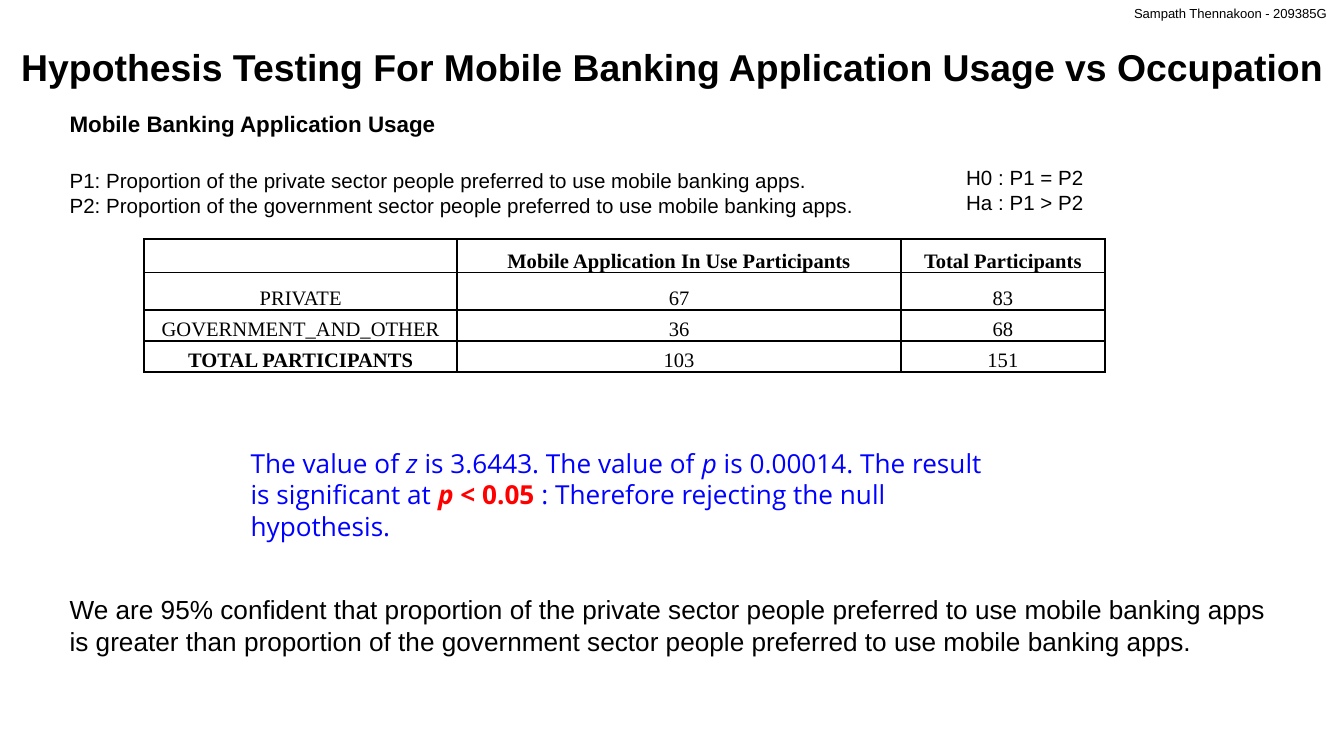
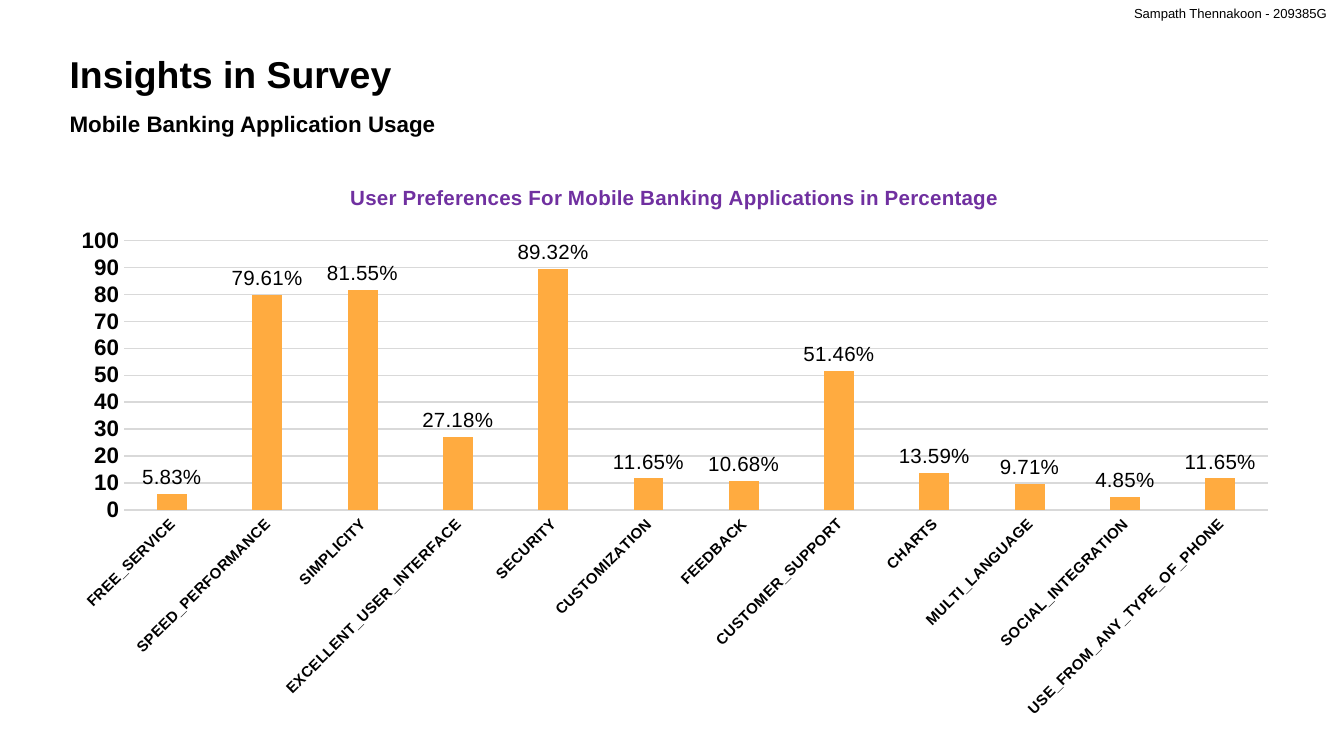
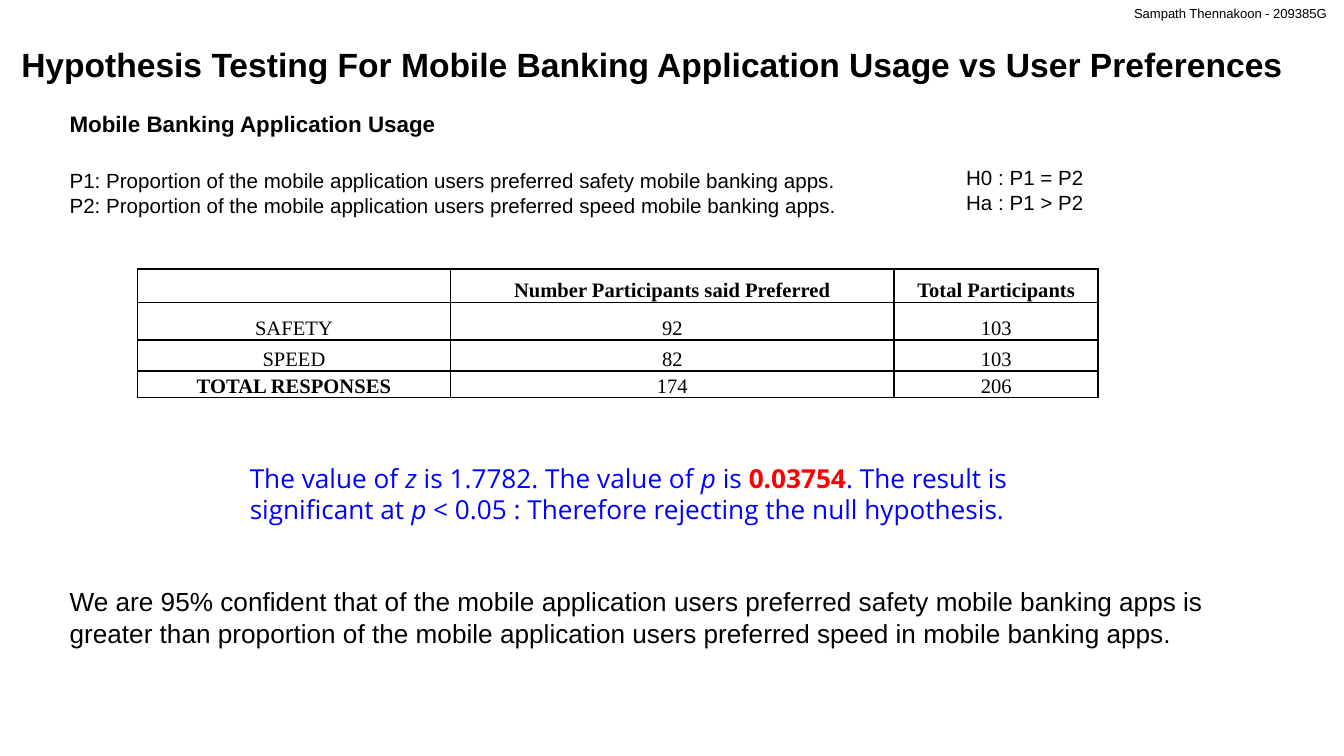
from lxml.etree import SubElement as Sub
from pptx import Presentation
from pptx.chart.data import CategoryChartData
from pptx.dml.color import RGBColor
from pptx.enum.chart import XL_CHART_TYPE as ChartType, XL_LABEL_POSITION as LabelPos, XL_TICK_MARK as Tick
from pptx.enum.text import MSO_ANCHOR as Anchor, MSO_AUTO_SIZE as AutoSize, PP_ALIGN as Align
from pptx.oxml import parse_xml
from pptx.oxml.ns import nsdecls, qn
from pptx.util import Pt

# Shared look
BLACK = RGBColor(0x00, 0x00, 0x00)
BLUE = RGBColor(0x00, 0x00, 0xFF)
RED = RGBColor(0xFF, 0x00, 0x00)
PURPLE = RGBColor(0x70, 0x30, 0xA0)
ORANGE = RGBColor(0xFF, 0xAB, 0x40)
GREY = RGBColor(0xD9, 0xD9, 0xD9)

LEFT = 30.2
BODY = dict(name="Arial", size=Pt(11), color=BLACK)
TITLE = dict(BODY, size=Pt(20), bold=True)
SUBTITLE = dict(BODY, size=Pt(12), bold=True)
CREDIT = dict(BODY, size=Pt(7))
CONCLUSION = dict(BODY, size=Pt(14))
RESULT = dict(name="Open Sans", size=Pt(14), color=BLUE)
CELL = dict(BODY, name="Times New Roman")
CELL_BOLD = dict(CELL, bold=True)
ITALIC = dict(italic=True)
ALERT = dict(color=RED, bold=True)

# Content
AUTHOR = "Sampath Thennakoon - 209385G"
SECTION = "Mobile Banking Application Usage"
HYPOTHESES = ["H0 : P1 = P2", "Ha : P1 > P2"]
COLUMN_WIDTHS = [167.8, 237.6, 109.4]

OCCUPATION = dict(
    title="Hypothesis Testing For Mobile Banking Application Usage vs Occupation",
    title_box=(4.3, 20.2, 720, 31.5), title_size=20,
    proportions=[
        "P1: Proportion of the private sector people preferred to use mobile banking apps.",
        "P2: Proportion of the government sector people preferred to use mobile banking apps."],
    rows=[("", "Mobile Application In Use Participants", "Total Participants"),
          ("PRIVATE", "67", "83"),
          ("GOVERNMENT_AND_OTHER", "36", "68"),
          ("TOTAL PARTICIPANTS", "103", "151")],
    table_at=(77.2, 128), row_heights=[18, 20.2, 16.6, 16.6],
    result=[("The value of\u00a0", {}), ("z", ITALIC),
            ("\u00a0is 3.6443. The value of\u00a0", {}), ("p", ITALIC),
            ("\u00a0is 0.00014. The result is significant at\u00a0", {}),
            ("p", dict(ALERT, italic=True)), ("\u00a0< 0.05 ", ALERT),
            (": Therefore rejecting the null hypothesis.", {})],
    result_box=(127.2, 236.2, 414.7, 41),
    conclusion="We are 95% confident that proportion of the private sector people preferred to "
               "use mobile banking apps is greater than proportion of the government sector "
               "people preferred to use mobile banking apps.",
    conclusion_top=314.6)

PREFERENCE = dict(
    title="Hypothesis Testing For Mobile Banking Application Usage vs User Preferences",
    title_box=(4.3, 20.2, 699, 29), title_size=18,
    proportions=[
        "P1: Proportion of the mobile application users preferred safety mobile banking apps.",
        "P2: Proportion of the mobile application users preferred speed mobile banking apps."],
    rows=[("", "Number Participants said Preferred", "Total Participants"),
          ("SAFETY", "92", "103"),
          ("SPEED", "82", "103"),
          ("TOTAL RESPONSES", "174", "206")],
    table_at=(73.6, 144), row_heights=[18, 20.2, 16.6, 14.3],
    result=[("The value of\u00a0", {}), ("z", ITALIC),
            ("\u00a0is 1.7782. The value of\u00a0", {}), ("p", ITALIC),
            ("\u00a0is ", {}), ("0.03754", ALERT),
            (". The result is significant at\u00a0", {}), ("p", ITALIC),
            ("\u00a0< 0.05 : Therefore rejecting the null hypothesis.", {})],
    result_box=(126.7, 244, 466.6, 41),
    conclusion="We are 95% confident that of the mobile application users preferred safety "
               "mobile banking apps is greater than proportion of the mobile application users "
               "preferred speed in mobile banking apps.",
    conclusion_top=310.3)

CHART_TITLE = "User Preferences For Mobile Banking Applications in Percentage"
PREFERENCES = {
    "FREE_SERVICE": 5.83, "SPEED_PERFORMANCE": 79.61, "SIMPLICITY": 81.55,
    "EXCELLENT_USER_INTERFACE": 27.18, "SECURITY": 89.32, "CUSTOMIZATION": 11.65,
    "FEEDBACK": 10.68, "CUSTOMER_SUPPORT": 51.46, "CHARTS": 13.59,
    "MULTI_LANGUAGE": 9.71, "SOCIAL_INTEGRATION": 4.85, "USE_FROM_ANY_TYPE_OF_PHONE": 11.65}
PLOT_AREA = dict(x=0.055, y=0.14, w=0.925, h=0.475)


def style(font, fmt):
    """Set font attributes from a dict; color goes to the fill."""
    for key, value in fmt.items():
        if key == "color":
            font.color.rgb = value
        else:
            setattr(font, key, value)


def add_text(s, box, paragraphs, fmt, wrap=True):
    """Add a text box; a paragraph is a string or a list of (text, format)."""
    tf = s.shapes.add_textbox(*map(Pt, box)).text_frame
    tf.word_wrap = wrap
    tf.auto_size = AutoSize.SHAPE_TO_FIT_TEXT
    for i, runs in enumerate(paragraphs):
        p = tf.add_paragraph() if i else tf.paragraphs[0]
        for text, extra in [(runs, {})] if isinstance(runs, str) else runs:
            r = p.add_run()
            r.text = text
            style(r.font, {**fmt, **extra})


def add_page(prs, title, box, size):
    """Add a slide with its title, section line and author line."""
    s = prs.slides.add_slide(prs.slide_layouts[6])
    add_text(s, box, [title], dict(TITLE, size=Pt(size)), wrap=False)
    add_text(s, (LEFT, 55.4, 213, 21.8), [SECTION], SUBTITLE, wrap=False)
    add_text(s, (600.5, -0.7, 119.5, 15.8), [AUTHOR], CREDIT)
    return s


def add_borders(cell):
    """Give a cell 1 pt black lines on all sides."""
    tc_pr = cell._tc.get_or_add_tcPr()
    for i, side in enumerate(("lnL", "lnR", "lnT", "lnB")):
        tc_pr.insert(i, parse_xml(
            f'<a:{side} {nsdecls("a")} w="12700"><a:solidFill><a:srgbClr val="{BLACK}"/>'
            f'</a:solidFill></a:{side}>'))


def add_grid(s, at, rows, heights):
    """Add a plain ruled table; the header and the last row's label are bold."""
    size = (sum(COLUMN_WIDTHS), sum(heights))
    table = s.shapes.add_table(len(rows), len(COLUMN_WIDTHS), *map(Pt, at + size)).table
    table.first_row = table.horz_banding = False
    for column, width in zip(table.columns, COLUMN_WIDTHS):
        column.width = Pt(width)
    for i, (row, height) in enumerate(zip(rows, heights)):
        table.rows[i].height = Pt(height)
        for j, text in enumerate(row):
            cell = table.cell(i, j)
            cell.fill.background()
            cell.vertical_anchor = Anchor.BOTTOM
            cell.margin_left = cell.margin_right = cell.margin_top = Pt(0.75)
            cell.margin_bottom = 0
            add_borders(cell)
            p = cell.text_frame.paragraphs[0]
            p.alignment = Align.CENTER
            if text:
                r = p.add_run()
                r.text = text
                bold = i == 0 or (i == len(rows) - 1 and j == 0)
                style(r.font, CELL_BOLD if bold else CELL)
            else:
                Sub(p._p, qn("a:endParaRPr")).set("sz", "1100")


def add_test_slide(prs, test):
    """Build one hypothesis test slide."""
    s = add_page(prs, test["title"], test["title_box"], test["title_size"])
    add_text(s, (LEFT, 86.4, 608.4, 33.8), test["proportions"], BODY)
    add_text(s, (510.5, 85, 77.8, 33.8), HYPOTHESES, BODY, wrap=False)
    add_grid(s, test["table_at"], test["rows"], test["row_heights"])
    add_text(s, test["result_box"], [test["result"]], RESULT)
    add_text(s, (LEFT, test["conclusion_top"], 668.2, 41), [test["conclusion"]], CONCLUSION)


def place_plot(chart):
    """Fix the inner plot area as fractions of the chart."""
    area = chart._chartSpace.chart.plotArea
    for old in area.findall(qn("c:layout")):
        area.remove(old)
    layout = parse_xml(f'<c:layout {nsdecls("c")}><c:manualLayout/></c:layout>')
    values = dict(layoutTarget="inner", xMode="edge", yMode="edge", **PLOT_AREA)
    for tag, value in values.items():
        Sub(layout[0], qn("c:" + tag)).set("val", str(value))
    area.insert(0, layout)


def add_preference_chart(s):
    """Add the column chart of user preferences."""
    data = CategoryChartData()
    data.categories = list(PREFERENCES)
    data.add_series("Series 1", list(PREFERENCES.values()))
    box = map(Pt, (LEFT, 86.4, 662.4, 303.8))
    chart = s.shapes.add_chart(ChartType.COLUMN_CLUSTERED, *box, data).chart
    style(chart.font, dict(BODY, size=Pt(10)))
    chart.has_legend = False
    r = chart.chart_title.text_frame.paragraphs[0].add_run()
    r.text = CHART_TITLE
    style(r.font, dict(BODY, color=PURPLE, bold=True))
    chart.chart_title.include_in_layout = False

    plot = chart.plots[0]
    plot.gap_width, plot.overlap, plot.vary_by_categories = 219, -27, False
    fill = plot.series[0].format.fill
    fill.solid()
    fill.fore_color.rgb = ORANGE
    plot.has_data_labels = True
    labels = plot.data_labels
    label_format = dict(show_value=True, position=LabelPos.OUTSIDE_END,
                        number_format='0.00"%"', number_format_is_linked=False)
    for key, value in label_format.items():
        setattr(labels, key, value)
    style(labels.font, dict(BODY, bold=False))

    cat, val = chart.category_axis, chart.value_axis
    for axis, size in ((cat, 8), (val, 12)):
        axis.major_tick_mark = axis.minor_tick_mark = Tick.NONE
        style(axis.tick_labels.font, dict(BODY, size=Pt(size), bold=True))
    cat._element.find(qn("c:txPr")).find(qn("a:bodyPr")).set("rot", "-2700000")
    val.minimum_scale, val.maximum_scale, val.major_unit = 0, 100, 10
    val.format.line.fill.background()
    val.has_major_gridlines = True
    for line in (cat.format.line, val.major_gridlines.format.line):
        line.color.rgb = GREY
        line.width = Pt(0.75)
    place_plot(chart)


prs = Presentation()
prs.slide_width, prs.slide_height = Pt(720), Pt(405)
add_test_slide(prs, OCCUPATION)
add_preference_chart(add_page(prs, "Insights in Survey", (LEFT, 23.8, 188.6, 31.5), 20))
add_test_slide(prs, PREFERENCE)
prs.save("out.pptx")
